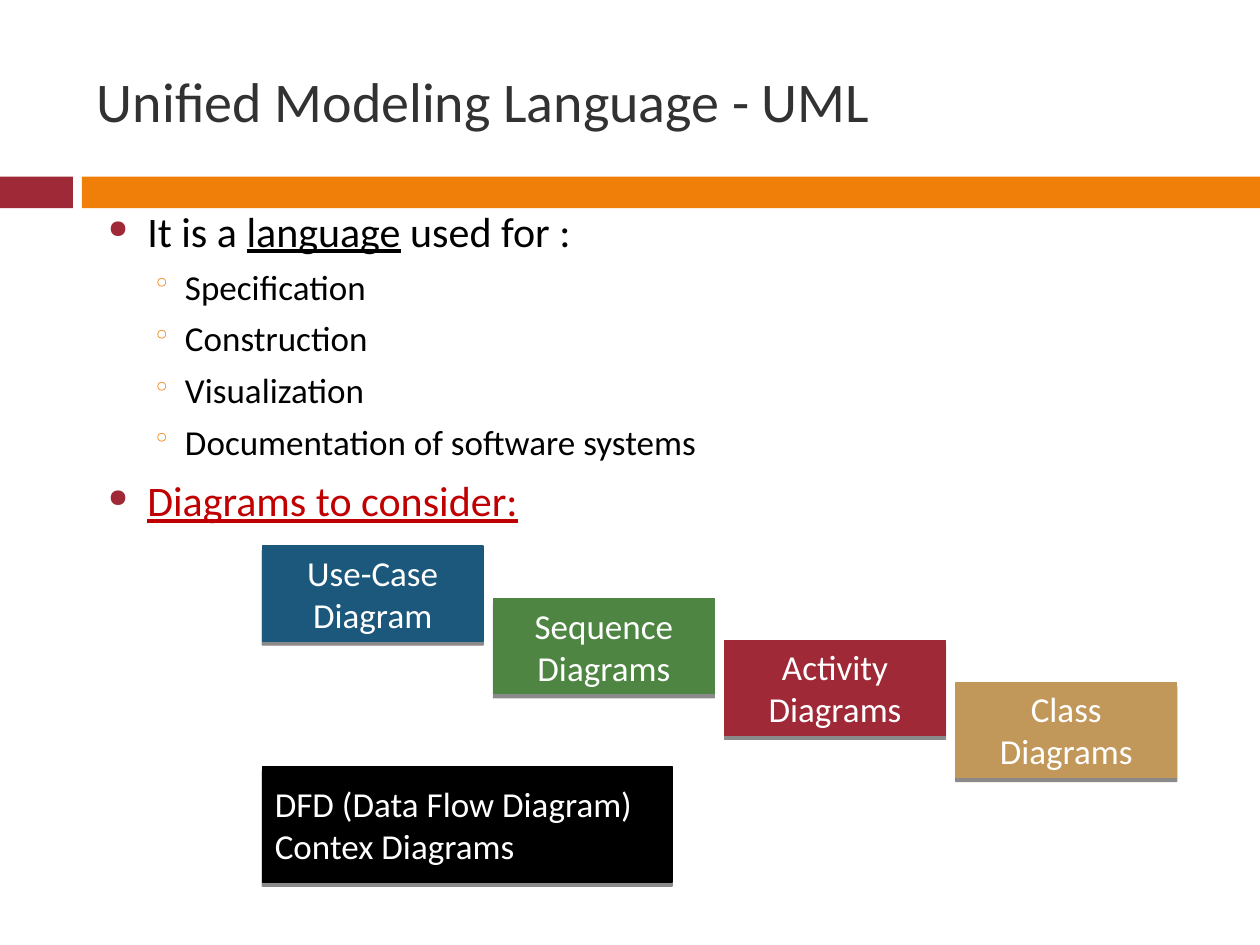
"""Build a slide that introduces UML and the diagrams to consider."""
from lxml import etree
from pptx import Presentation
from pptx import util as u
from pptx.dml.color import RGBColor
from pptx.enum import shapes, text
from pptx.oxml import ns

BLACK = RGBColor(0, 0, 0)
WHITE = RGBColor(255, 255, 255)
GREY = RGBColor(0x32, 0x32, 0x32)
ORANGE = RGBColor(0xF0, 0x7F, 0x09)
CRIMSON = RGBColor(0x9F, 0x29, 0x36)
RED = RGBColor(0xC0, 0, 0)
BLUE = RGBColor(0x1B, 0x58, 0x7C)
GREEN = RGBColor(0x4E, 0x85, 0x42)
TAN = RGBColor(0xC1, 0x98, 0x59)

TITLE = "Unified Modeling Language - UML"
BANDS = [(0, 1.47, CRIMSON), (1.65, 23.75, ORANGE)]
LEVELS = [
    {"size": 24, "before": 7, "left": 1.02, "hanging": 0.79,
     "bullet": "●", "bullet_color": CRIMSON, "bullet_percent": 60},
    {"size": 20, "before": 5.5, "left": 1.78, "hanging": 0.66,
     "bullet": "◦", "bullet_color": ORANGE, "bullet_percent": 70},
]
OUTLINE = [
    (0, BLACK, [("It is a ", False), ("language", True), (" used for :", False)]),
    (1, BLACK, [("Specification", False)]),
    (1, BLACK, [("Construction", False)]),
    (1, BLACK, [("Visualization", False)]),
    (1, BLACK, [("Documentation of software systems", False)]),
    (0, RED, [("Diagrams to consider:", True)]),
]
STEPS = [
    ("Use-Case Diagram", 11.01, BLUE),
    ("Sequence Diagrams", 12.07, GREEN),
    ("Activity Diagrams", 12.91, CRIMSON),
    ("Class Diagrams", 13.76, TAN),
]
DATA_FLOW = ["DFD (Data Flow Diagram)", "Contex Diagrams"]
STEP_LEFT, STEP_WIDTH, STEP_HEIGHT, STEP_PITCH = 5.29, 4.45, 1.91, 4.66


def add_text(paragraph, words, size=20, color=WHITE, underline=False,
             align=text.PP_ALIGN.LEFT):
    paragraph.alignment = align
    run = paragraph.add_run()
    run.text = words
    run.font.name = "Calibri"
    run.font.size = u.Pt(size)
    run.font.color.rgb = color
    run.font.underline = underline


def add_bullet(paragraph, level):
    paragraph.space_before = u.Pt(level["before"])
    properties = paragraph._p.get_or_add_pPr()
    properties.set("marL", str(u.Cm(level["left"])))
    properties.set("indent", str(-u.Cm(level["hanging"])))
    color = etree.SubElement(properties, ns.qn("a:buClr"))
    etree.SubElement(color, ns.qn("a:srgbClr"), val=str(level["bullet_color"]))
    etree.SubElement(properties, ns.qn("a:buSzPct"), val=str(level["bullet_percent"] * 1000))
    etree.SubElement(properties, ns.qn("a:buChar"), char=level["bullet"])


def add_rectangle(slide, left, top, width, height, color):
    shape = slide.shapes.add_shape(shapes.MSO_SHAPE.RECTANGLE, u.Cm(left), u.Cm(top),
                                   u.Cm(width), u.Cm(height))
    shape.shadow.inherit = False
    shape.fill.solid()
    shape.fill.fore_color.rgb = color
    shape.line.fill.background()
    return shape


def add_box(slide, left, top, width, height, color, lines, align):
    shape = add_rectangle(slide, left, top, width, height, color)
    shape.line.color.rgb = color
    shape.line.width = u.Pt(0.79)
    effects = shape._element.spPr.find(ns.qn("a:effectLst"))
    shadow = etree.SubElement(effects, ns.qn("a:outerShdw"), dist=str(u.Pt(2.4)),
                              dir="5400000", rotWithShape="0")
    shadow_color = etree.SubElement(shadow, ns.qn("a:srgbClr"), val=str(BLACK))
    etree.SubElement(shadow_color, ns.qn("a:alpha"), val="45000")
    frame = shape.text_frame
    frame.word_wrap = True
    frame.vertical_anchor = text.MSO_ANCHOR.MIDDLE
    for index, line in enumerate(lines):
        paragraph = frame.add_paragraph() if index else frame.paragraphs[0]
        add_text(paragraph, line, align=align)


def main():
    presentation = Presentation()
    presentation.slide_width, presentation.slide_height = u.Cm(25.4), u.Cm(19.05)
    slide = presentation.slides.add_slide(presentation.slide_layouts[5])

    for left, width, color in BANDS:
        add_rectangle(slide, left, 3.56, width, 0.64, color)

    title = slide.shapes.title
    title.left, title.top, title.width, title.height = map(u.Cm, (1.7, 0.64, 22.66, 2.74))
    title.text_frame.vertical_anchor = text.MSO_ANCHOR.MIDDLE
    title.text_frame.auto_size = text.MSO_AUTO_SIZE.NONE
    add_text(title.text_frame.paragraphs[0], TITLE, size=32, color=GREY)

    body = slide.shapes.add_textbox(*map(u.Cm, (1.7, 4.01, 22.66, 12.5))).text_frame
    body.word_wrap = True
    for index, (depth, color, runs) in enumerate(OUTLINE):
        paragraph = body.add_paragraph() if index else body.paragraphs[0]
        paragraph.level = depth
        add_bullet(paragraph, LEVELS[depth])
        for words, underline in runs:
            add_text(paragraph, words, size=LEVELS[depth]["size"], color=color,
                     underline=underline)

    for index, (label, top, color) in enumerate(STEPS):
        add_box(slide, STEP_LEFT + index * STEP_PITCH, top, STEP_WIDTH, STEP_HEIGHT,
                color, [label], text.PP_ALIGN.CENTER)
    add_box(slide, STEP_LEFT, 15.45, 8.26, 2.33, BLACK, DATA_FLOW, text.PP_ALIGN.LEFT)

    presentation.save("out.pptx")


if __name__ == "__main__":
    main()
